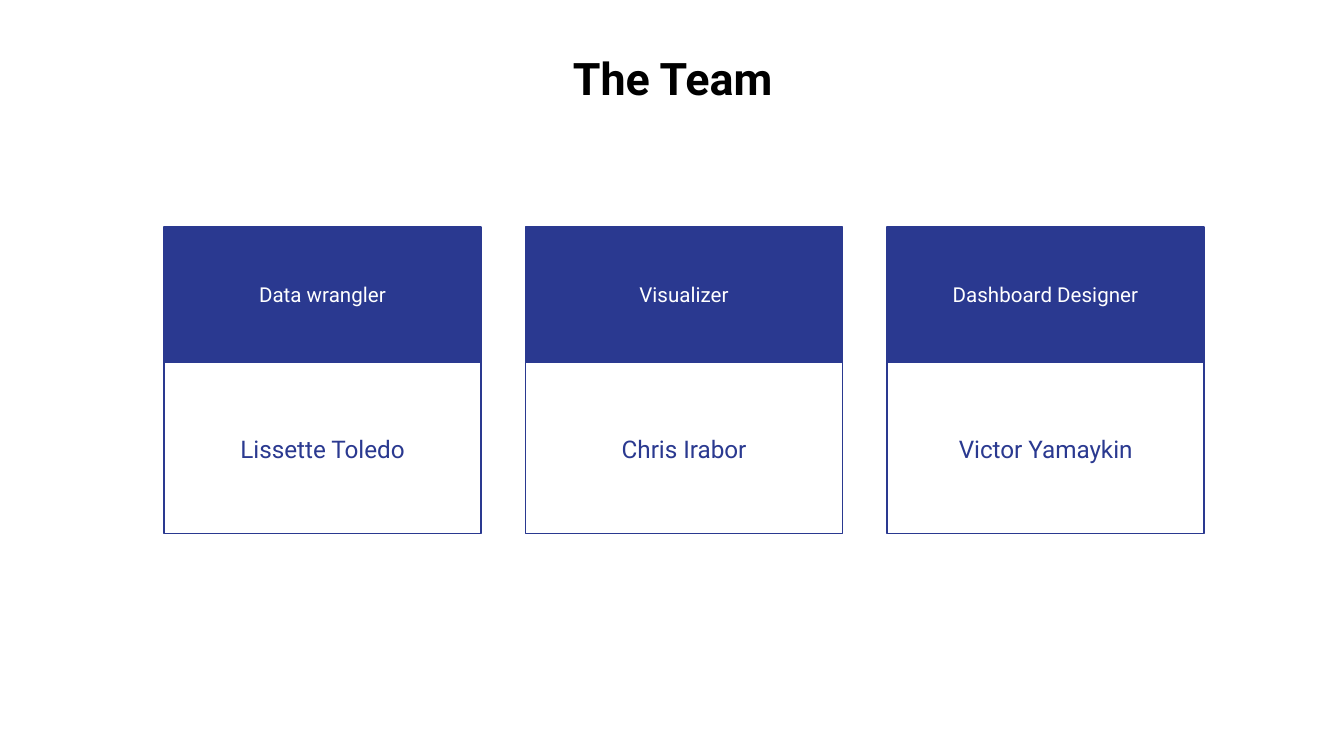
"""Build the team slide with one role card per member."""
from pptx import Presentation
from pptx.dml.color import RGBColor
from pptx.enum.shapes import MSO_SHAPE
from pptx.enum.text import MSO_ANCHOR, MSO_AUTO_SIZE, PP_ALIGN
from pptx.util import Inches, Pt

NAVY = RGBColor(0x2A, 0x39, 0x90)
WHITE = RGBColor(0xFF, 0xFF, 0xFF)
BLACK = RGBColor(0x00, 0x00, 0x00)

FONT = "Roboto"
LAST_CARD_LEFT, CARD_TOP = 6.6, 1.69
CARD_WIDTH, CARD_HEIGHT, HEADER_HEIGHT = 2.36, 2.28, 1.01
CARD_STEP = 2.69
LABEL_HEIGHT = 0.62
ROLE_TOP, NAME_TOP = 1.88, 3.03

TEAM_FROM_RIGHT = [
    ("Dashboard Designer", "Victor Yamaykin"),
    ("Visualizer", "Chris Irabor"),
    ("Data wrangler", "Lissette Toledo"),
]


def write_text(box, text, size, color, anchor, bold=False):
    """Put one centred line of text in a box."""
    frame = box.text_frame
    frame.text = text
    frame.word_wrap = True
    frame.auto_size = MSO_AUTO_SIZE.NONE
    frame.vertical_anchor = anchor
    frame.margin_left = frame.margin_right = Inches(0.1)
    frame.margin_top = frame.margin_bottom = Inches(0.1)
    para = frame.paragraphs[0]
    para.alignment = PP_ALIGN.CENTER
    para.space_before = Pt(0)
    para.line_spacing = 1.0
    font = para.runs[0].font
    font.name = FONT
    font.size = Pt(size)
    font.bold = bold
    font.color.rgb = color


def add_title(page, text):
    """Place and format the slide title."""
    title = page.shapes.title
    title.left, title.top = Inches(2.81), Inches(0.28)
    title.width, title.height = Inches(4.39), Inches(0.61)
    write_text(title, text, 24, BLACK, MSO_ANCHOR.TOP, bold=True)


def add_rectangle(page, left, height):
    """Add a plain rectangle at the top of a card."""
    box = page.shapes.add_shape(
        MSO_SHAPE.RECTANGLE,
        Inches(left), Inches(CARD_TOP), Inches(CARD_WIDTH), Inches(height),
    )
    box.shadow.inherit = False
    return box


def add_label(page, left, top, text, size, color):
    """Add a label as wide as a card."""
    box = page.shapes.add_textbox(
        Inches(left), Inches(top), Inches(CARD_WIDTH), Inches(LABEL_HEIGHT)
    )
    write_text(box, text, size, color, MSO_ANCHOR.MIDDLE)


def add_card(page, left, role, name):
    """Add an outlined card with a filled role header and a name."""
    outline = add_rectangle(page, left, CARD_HEIGHT)
    outline.fill.background()
    outline.line.color.rgb = NAVY
    outline.line.width = Pt(0.75)
    header = add_rectangle(page, left, HEADER_HEIGHT)
    header.fill.solid()
    header.fill.fore_color.rgb = NAVY
    header.line.fill.background()
    add_label(page, left, ROLE_TOP, role, 11, WHITE)
    add_label(page, left, NAME_TOP, name, 13, NAVY)


def main():
    """Create the deck and save it."""
    deck = Presentation()
    deck.slide_width = Inches(10)
    deck.slide_height = deck.slide_width * 9 // 16
    page = deck.slides.add_slide(deck.slide_layouts[5])
    page.background.fill.solid()
    page.background.fill.fore_color.rgb = WHITE
    add_title(page, "The Team")
    for index, (role, name) in enumerate(TEAM_FROM_RIGHT):
        add_card(page, LAST_CARD_LEFT - index * CARD_STEP, role, name)
    deck.save("out.pptx")


if __name__ == "__main__":
    main()
